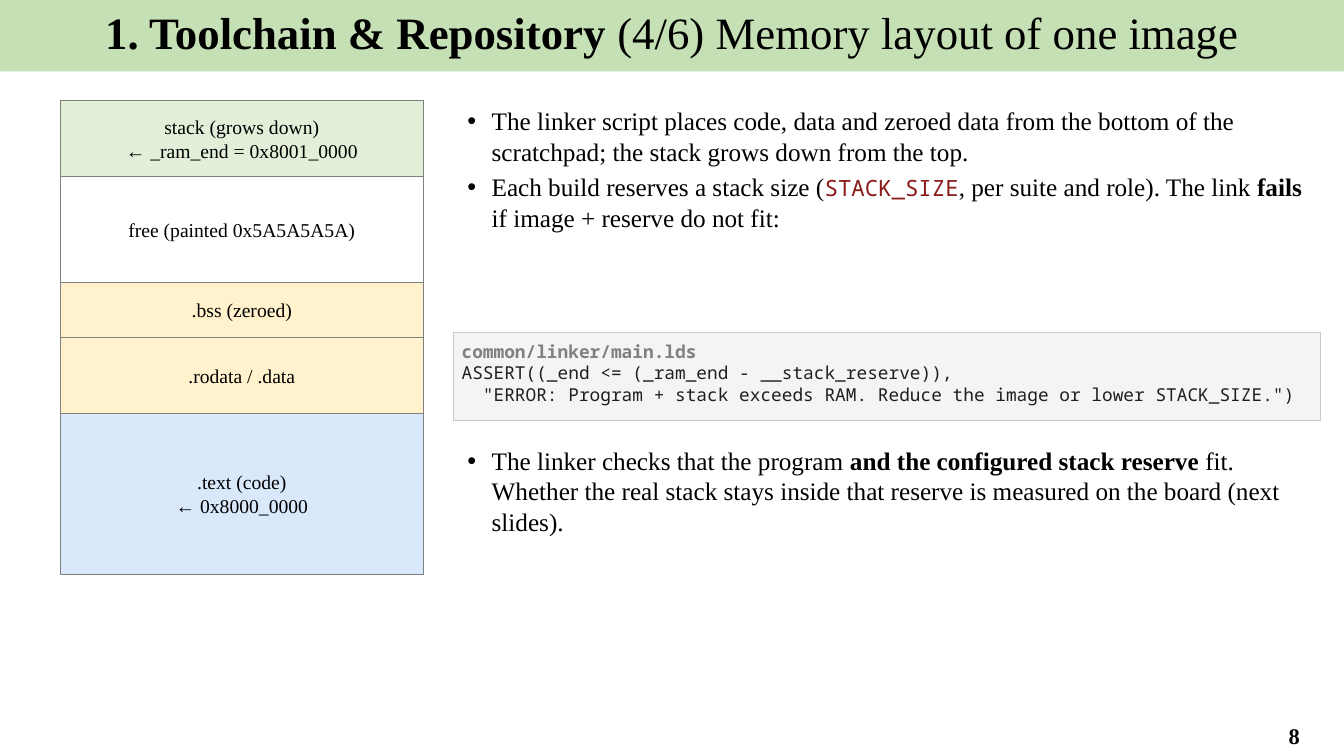
from lxml.etree import SubElement
from pptx import Presentation
from pptx.dml.color import RGBColor
from pptx.enum.shapes import MSO_SHAPE
from pptx.enum.text import MSO_ANCHOR, PP_ALIGN
from pptx.oxml.ns import qn
from pptx.util import Pt

COLORS = {
    "banner": "C5E0B4", "black": "000000", "outline": "808080",
    "stack": "E2F0D9", "free": "FFFFFF", "data": "FFF2CC", "code": "DAE8FC",
    "panel": "F4F4F4", "panel line": "C8C8C8", "listing": "1F1F1F", "symbol": "8B1A1A",
}
SERIF, MONO = "Times New Roman", "Noto Sans Mono"


def add_span(para, text, size, bold=False, font=SERIF, color="black"):
    span = para.add_run()
    span.text = text
    span.font.size = Pt(size)
    span.font.bold = bold
    span.font.name = font
    span.font.color.rgb = RGBColor.from_string(COLORS[color])


def add_panel(left, top, width, height, fill, line, inset):
    """Add an outlined rectangle with equal text insets on all sides."""
    box = page.shapes.add_shape(MSO_SHAPE.RECTANGLE, Pt(left), Pt(top), Pt(width), Pt(height))
    box.shadow.inherit = False
    box.fill.solid()
    box.fill.fore_color.rgb = RGBColor.from_string(COLORS[fill])
    box.line.color.rgb = RGBColor.from_string(COLORS[line])
    box.line.width = Pt(0.75)
    frame = box.text_frame
    frame.margin_left = frame.margin_right = Pt(inset)
    frame.margin_top = frame.margin_bottom = Pt(inset)
    return frame


deck = Presentation()
deck.slide_width, deck.slide_height = Pt(960), Pt(540)
page = deck.slides.add_slide(deck.slide_layouts[5])

# Title banner
title = page.shapes.title
title.left, title.top, title.width, title.height = Pt(0), Pt(0), Pt(960), Pt(51)
title.fill.solid()
title.fill.fore_color.rgb = RGBColor.from_string(COLORS["banner"])
title.text_frame.vertical_anchor = MSO_ANCHOR.TOP
para = title.text_frame.paragraphs[0]
para.alignment = PP_ALIGN.CENTER
add_span(para, "1. Toolchain & Repository ", 32, bold=True)
add_span(para, "(4/6) Memory layout of one image", 32)

# Memory map, stacked from the top of RAM down
regions = [
    (54, "stack", ["stack (grows down)", "← _ram_end = 0x8001_0000"]),
    (75.6, "free", ["free (painted 0x5A5A5A5A)"]),
    (39.6, "data", [".bss (zeroed)"]),
    (54, "data", [".rodata / .data"]),
    (115.2, "code", [".text (code)", "← 0x8000_0000"]),
]
top = 72
for height, fill, lines in regions:
    frame = add_panel(43.2, top, 259.2, height, fill, "outline", 2.88)
    frame.word_wrap = True
    frame.vertical_anchor = MSO_ANCHOR.MIDDLE
    for index, line in enumerate(lines):
        para = frame.add_paragraph() if index else frame.paragraphs[0]
        para.alignment = PP_ALIGN.CENTER
        add_span(para, line, 14)
    top += height

# Explanations: (top, height, bullets), each bullet a list of (text, style)
explanations = [
    (72, 165.6, [
        [("The linker script places code, data and zeroed data from the bottom of the "
          "scratchpad; the stack grows down from the top.", "plain")],
        [("Each build reserves a stack size (", "plain"), ("STACK_SIZE", "symbol"),
         (", per suite and role). The link ", "plain"), ("fails", "bold"),
         (" if image + reserve do not fit:", "plain")],
    ]),
    (314.64, 100.8, [
        [("The linker checks that the program ", "plain"),
         ("and the configured stack reserve", "bold"),
         (" fit. Whether the real stack stays inside that reserve is measured on the "
          "board (next slides).", "plain")],
    ]),
]
for top, height, bullets in explanations:
    frame = page.shapes.add_textbox(Pt(324), Pt(top), Pt(619.2), Pt(height)).text_frame
    frame.word_wrap = True
    for index, bullet in enumerate(bullets):
        para = frame.add_paragraph() if index else frame.paragraphs[0]
        para.space_after = Pt(4)
        properties = para._p.get_or_add_pPr()
        properties.set("marL", str(Pt(20.16)))
        properties.set("indent", str(Pt(-17.28)))
        SubElement(properties, qn("a:buFont"), typeface="Arial")
        SubElement(properties, qn("a:buChar"), char="•")
        for text, style in bullet:
            if style == "symbol":
                add_span(para, text, 16, font=MONO, color="symbol")
            else:
                add_span(para, text, 18, bold=style == "bold")

# Linker script excerpt
frame = add_panel(324, 237.6, 619.2, 62.64, "panel", "panel line", 5.76)
frame.word_wrap = False
frame.vertical_anchor = MSO_ANCHOR.TOP
listing = [
    "common/linker/main.lds",
    "ASSERT((_end <= (_ram_end - __stack_reserve)),",
    '  "ERROR: Program + stack exceeds RAM. Reduce the image or lower STACK_SIZE.")',
]
for index, line in enumerate(listing):
    para = frame.add_paragraph() if index else frame.paragraphs[0]
    para.alignment = PP_ALIGN.LEFT
    add_span(para, line, 12.7, bold=index == 0, font=MONO,
             color="listing" if index else "outline")

# Page number
frame = page.shapes.add_textbox(Pt(889.2), Pt(511.2), Pt(70.56), Pt(28.08)).text_frame
frame.word_wrap = True
frame.vertical_anchor = MSO_ANCHOR.MIDDLE
para = frame.paragraphs[0]
para.alignment = PP_ALIGN.CENTER
add_span(para, "8", 16, bold=True)

deck.save("out.pptx")
